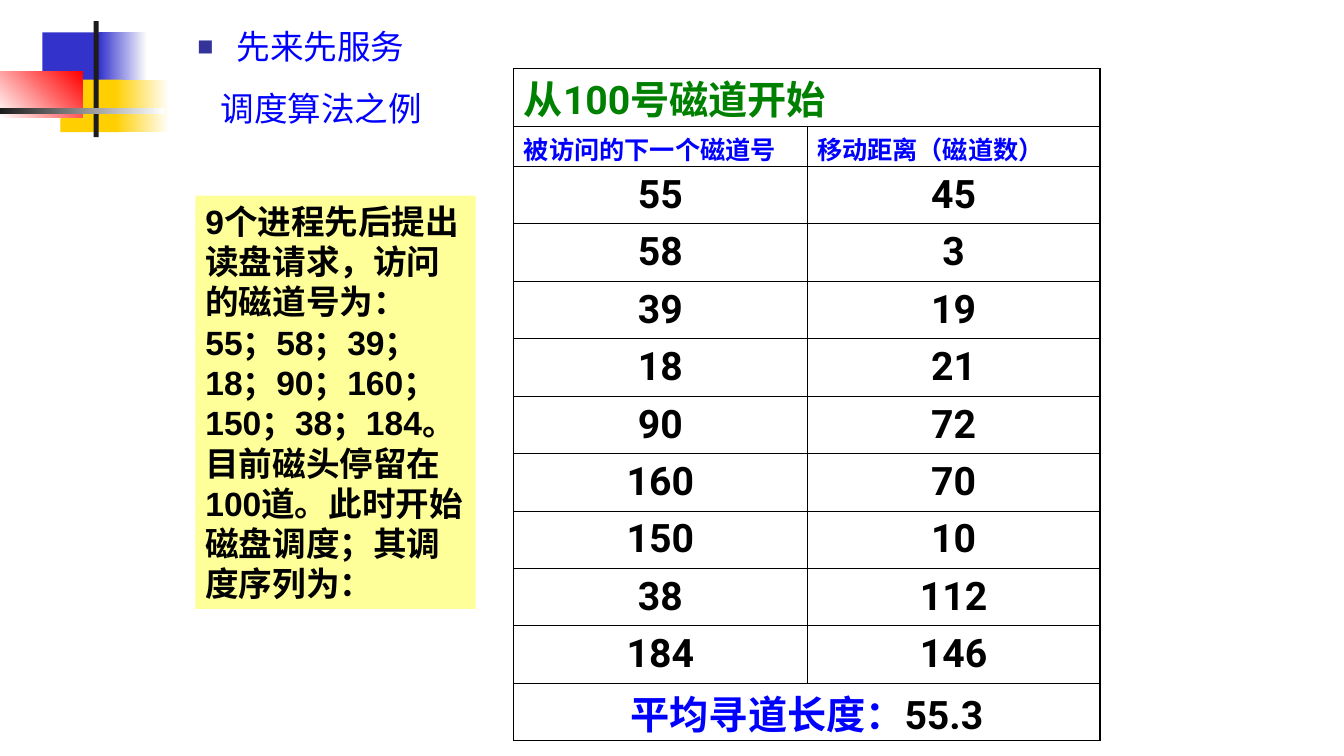
from lxml import etree
from pptx import Presentation
from pptx.dml.color import RGBColor
from pptx.enum.shapes import MSO_SHAPE
from pptx.enum.text import MSO_ANCHOR, PP_ALIGN
from pptx.oxml.ns import qn
from pptx.util import Inches, Pt

RECT = MSO_SHAPE.RECTANGLE
TOP, MIDDLE, BOTTOM = MSO_ANCHOR.TOP, MSO_ANCHOR.MIDDLE, MSO_ANCHOR.BOTTOM
LEFT, CENTER = PP_ALIGN.LEFT, PP_ALIGN.CENTER
rgb = RGBColor.from_string


def add_box(left, top, width, height, start, end=None, angle=0):
    """Add a borderless rectangle, solid or fading from start to end."""
    sp = s.shapes.add_shape(RECT, Inches(left), Inches(top), Inches(width), Inches(height))
    sp.shadow.inherit = False
    sp.line.fill.background()
    if end:
        sp.fill.gradient()
        sp.fill.gradient_angle = angle
        for stop, color in zip(sp.fill.gradient_stops, (start, end)):
            stop.color.rgb = rgb(color)
    else:
        sp.fill.solid()
        sp.fill.fore_color.rgb = rgb(start)
    tf = sp.text_frame
    tf.word_wrap = True
    tf.vertical_anchor = TOP
    return sp


def add_run(p, text, size, color, font, bold=True):
    r = p.add_run()
    r.text = text
    r.font.size = Pt(size)
    r.font.name = font
    r.font.bold = bold
    r.font.color.rgb = rgb(color)


prs = Presentation()
prs.slide_width, prs.slide_height = Inches(13.34), Inches(7.5)
s = prs.slides.add_slide(prs.slide_layouts[6])

# Corner ornament
add_box(0.42, 0.32, 0.64, 0.52, "3333CC")
add_box(0.98, 0.32, 0.48, 0.52, "3333CC", "FFFFFF")
add_box(0.6, 0.79, 0.61, 0.52, "FFCF01")
add_box(1.14, 0.79, 0.54, 0.52, "FFCF01", "FFFFFF")
add_box(0, 0.71, 0.82, 0.46, "FFFFFF", "FF0000", 45)
add_box(0.93, 0.21, 0.05, 1.15, "1C1C1C")
add_box(0, 1.07, 1.63, 0.06, "1C1C1C", "FFFFFF")

# Track table
tracks = [55, 58, 39, 18, 90, 160, 150, 38, 184]
distances = [45, 3, 19, 21, 72, 70, 10, 112, 146]
BLUE, BLACK, GREEN = "0000FF", "000000", "008000"
rows = [
    ([[("从100号磁道开始", GREEN)]], 28, BOTTOM, LEFT),
    ([[("被访问的下一个磁道号", BLUE)], [("移动距离（磁道数）", BLUE)]], 18, BOTTOM, LEFT),
]
for track, distance in zip(tracks, distances):
    rows.append(([[(str(track), BLACK)], [(str(distance), BLACK)]], 28, MIDDLE, CENTER))
rows.append(([[("平均寻道长度：", BLUE), ("55.3", BLACK)]], 28, BOTTOM, CENTER))

last = len(rows) - 1
table = s.shapes.add_table(len(rows), 2, Inches(5.1), Inches(0.68),
                           Inches(5.82), Inches(6.63)).table
table.first_row = table.horz_banding = False
for i, (cells, size, anchor, align) in enumerate(rows):
    table.rows[i].height = Inches(0.4 if i == 1 else 0.57)
    if len(cells) == 1:
        table.cell(i, 0).merge(table.cell(i, 1))
    for j in range(2):
        cell = table.cell(i, j)
        # The Chinese line is as tall as its row, so no vertical margin fits
        cell.margin_top = cell.margin_bottom = 0
        outer = {"L": j == 0, "R": j == 1 or len(cells) == 1, "T": i == 0, "B": i == last}
        for side, is_outer in outer.items():
            ln = etree.SubElement(cell._tc.get_or_add_tcPr(), qn(f"a:ln{side}"),
                                  w=str(Pt(1.08 if is_outer else 0.45)))
            fill = etree.SubElement(ln, qn("a:solidFill"))
            etree.SubElement(fill, qn("a:srgbClr"), val=BLACK)
        cell.fill.background()
        cell.vertical_anchor = anchor
        if j < len(cells):
            p = cell.text_frame.paragraphs[0]
            p.alignment = align
            for text, color in cells[j]:
                add_run(p, text, size, color, "Roboto")

# Title
tf = add_box(1.86, 0.21, 2.49, 1.11, "FFFFFF").text_frame
p = tf.paragraphs[0]
p.alignment = LEFT
pPr = p._p.get_or_add_pPr()
pPr.set("marL", str(Inches(0.39)))
pPr.set("indent", str(-Inches(0.39)))
bullet_color = etree.SubElement(pPr, qn("a:buClr"))
etree.SubElement(bullet_color, qn("a:srgbClr"), val="333399")
etree.SubElement(pPr, qn("a:buSzPct"), val="80000")
etree.SubElement(pPr, qn("a:buFont"), typeface="Arial")
etree.SubElement(pPr, qn("a:buChar"), char="■")
add_run(p, "先来先服务", 24, BLUE, "Arial", False)
p = tf.add_paragraph()
p.alignment = LEFT
p.space_before = Pt(15)
p._p.get_or_add_pPr().set("marL", str(Inches(0.23)))
add_run(p, "调度算法之例", 24, BLUE, "Arial", False)

# Problem statement
p = add_box(1.94, 1.94, 2.78, 4.1, "FFFF99").text_frame.paragraphs[0]
p.alignment = LEFT
requests = "；".join(str(track) for track in tracks)
add_run(p, f"9个进程先后提出读盘请求，访问的磁道号为：{requests}。"
           "目前磁头停留在100道。此时开始磁盘调度；其调度序列为：", 24, BLACK, "Arial")

prs.save("out.pptx")
